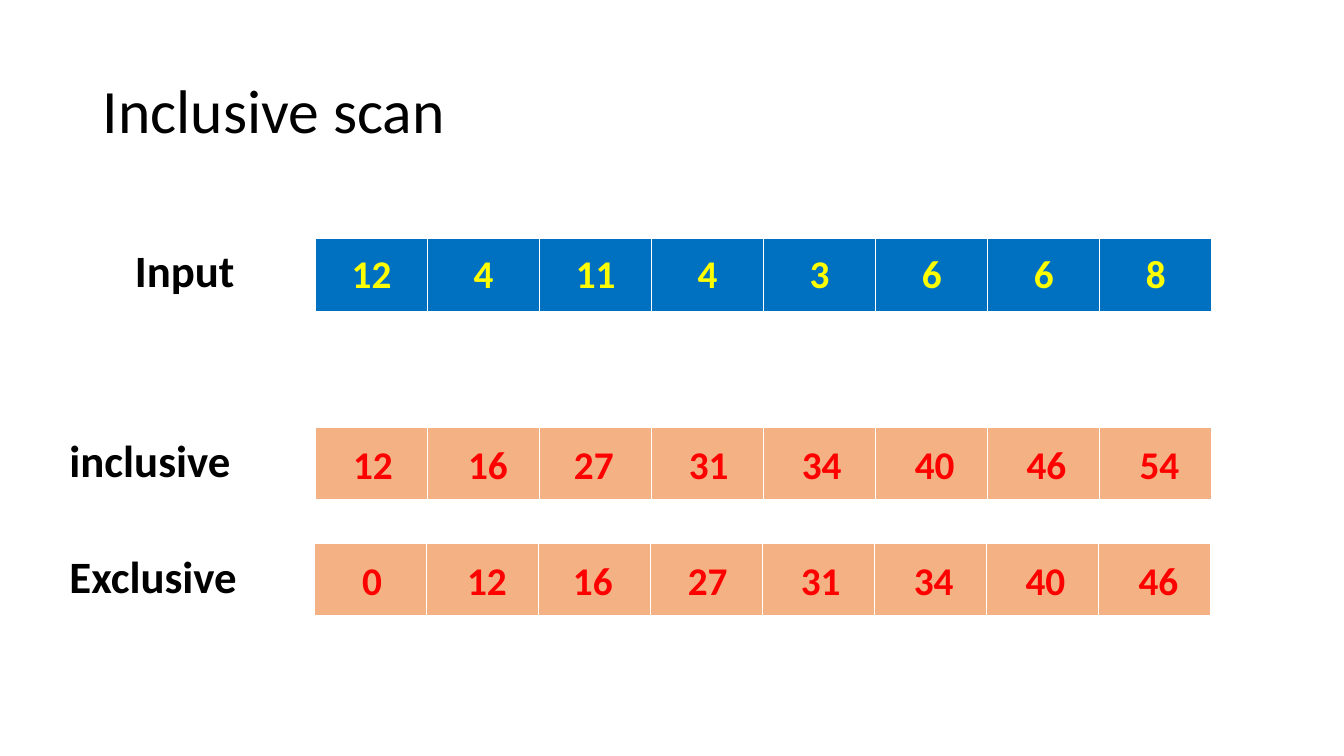
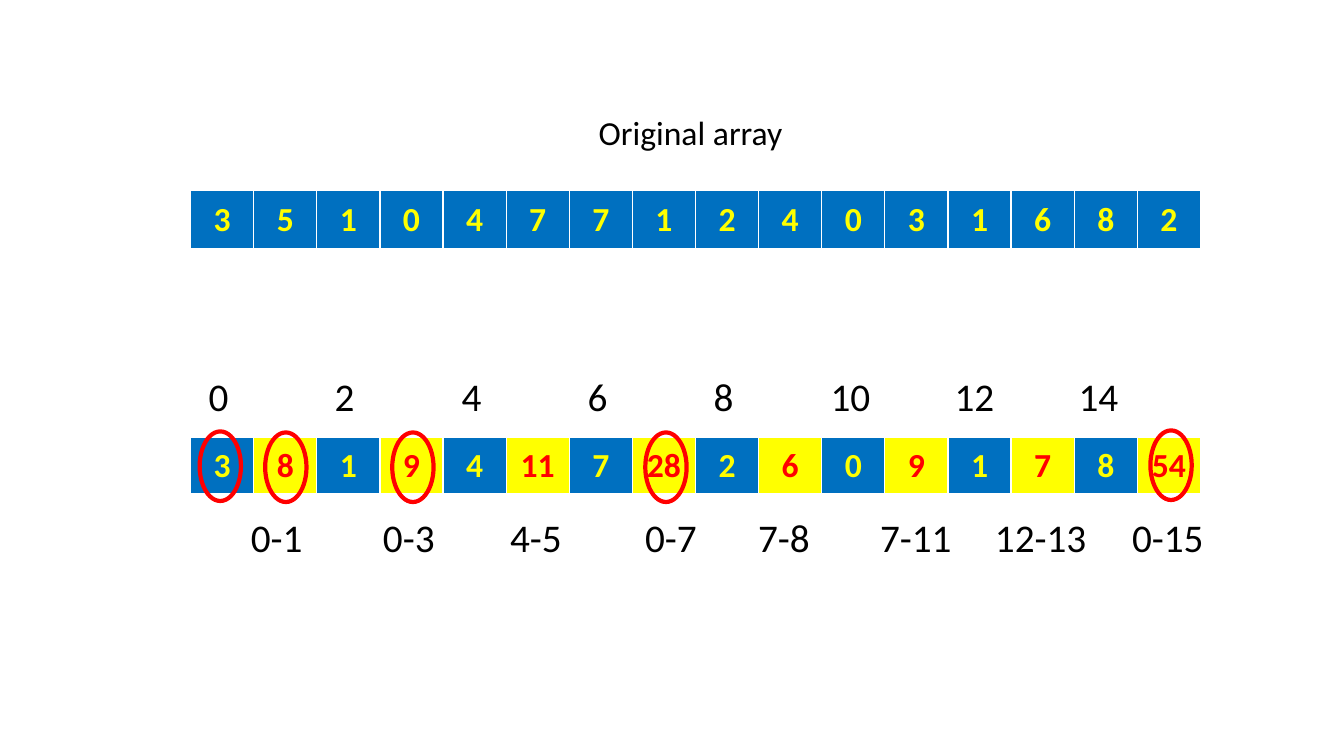
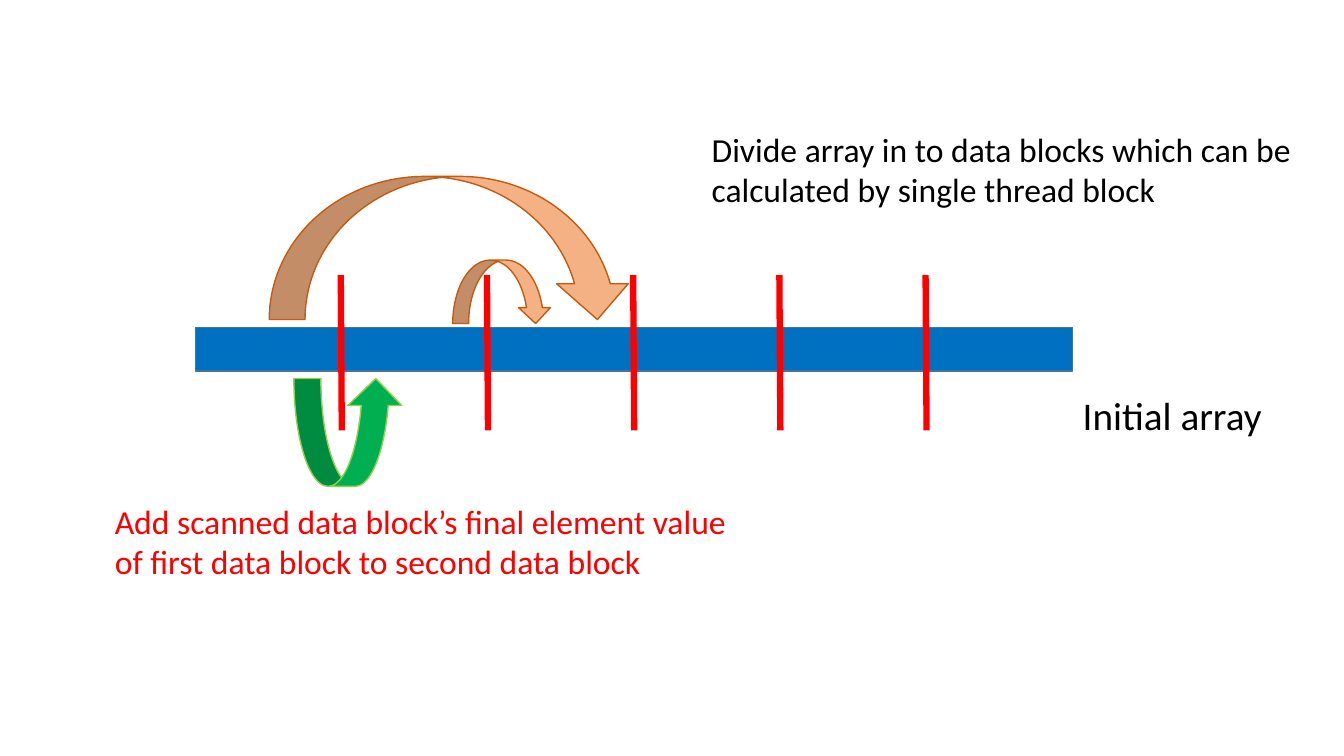
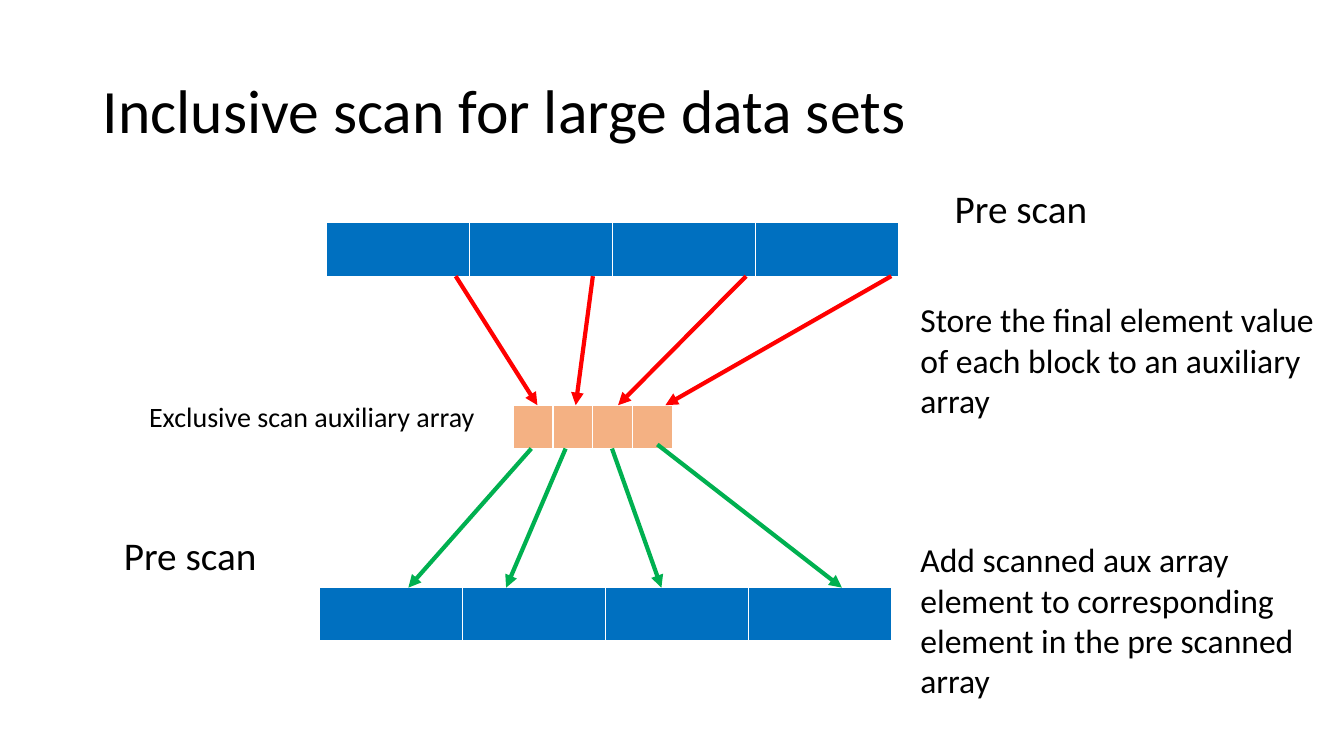
from dataclasses import dataclass

from pptx import Presentation
from pptx.dml.color import RGBColor
from pptx.enum.shapes import MSO_CONNECTOR, MSO_SHAPE
from pptx.enum.text import MSO_ANCHOR, MSO_AUTO_SIZE, PP_ALIGN
from pptx.oxml.ns import qn
from pptx.shapes.autoshape import Shape
from pptx.slide import Slide
from pptx.text.text import TextFrame
from pptx.util import Inches, Pt
from lxml import etree

LEFT, CENTER = PP_ALIGN.LEFT, PP_ALIGN.CENTER
MIDDLE = MSO_ANCHOR.MIDDLE
FIT_SHAPE, NO_FIT = MSO_AUTO_SIZE.SHAPE_TO_FIT_TEXT, MSO_AUTO_SIZE.NONE
STRAIGHT = MSO_CONNECTOR.STRAIGHT
RECTANGLE, OVAL = MSO_SHAPE.RECTANGLE, MSO_SHAPE.OVAL
DOWN_ARC, RIGHT_ARC = MSO_SHAPE.CURVED_DOWN_ARROW, MSO_SHAPE.CURVED_RIGHT_ARROW
TITLE_ONLY, BLANK = 5, 6


@dataclass(frozen=True)
class Theme:
    font: str = "Calibri"
    black: str = "000000"
    red: str = "FF0000"
    yellow: str = "FFFF00"
    blue: str = "0070C0"
    blue_edge: str = "43739E"
    peach: str = "F4B183"
    peach_edge: str = "C55A11"
    green: str = "00B050"
    green_edge: str = "92D050"
    title: int = 44
    heading: int = 32
    large: int = 28
    body: int = 24
    small: int = 20


THEME = Theme()


@dataclass(frozen=True)
class TextStyle:
    size: int
    color: str = THEME.black
    bold: bool = False


LARGE, BODY, SMALL = TextStyle(THEME.large), TextStyle(THEME.body), TextStyle(THEME.small)
ROW_LABEL = TextStyle(THEME.heading, bold=True)
SCAN_VALUE = TextStyle(THEME.large, THEME.red, True)


@dataclass(frozen=True)
class Box:
    left: float
    top: float
    width: float
    height: float

    def lengths(self) -> tuple:
        return tuple(Inches(value) for value in (self.left, self.top, self.width, self.height))


@dataclass(frozen=True)
class Label:
    text: str
    box: Box
    style: TextStyle


@dataclass(frozen=True)
class Cell:
    fill: str
    text: str = ""
    style: TextStyle = BODY


@dataclass(frozen=True)
class Line:
    start: tuple[float, float]
    end: tuple[float, float]
    color: str
    width: float
    arrow: bool = False


@dataclass(frozen=True)
class Figure:
    kind: MSO_SHAPE
    box: Box
    fill: str = ""
    edge: str = ""
    edge_width: float = 1
    rotation: float = 0


# Drawing functions
def write_text(frame: TextFrame, text: str, style: TextStyle, align: PP_ALIGN = LEFT) -> None:
    paragraph = frame.paragraphs[0]
    paragraph.alignment = align
    run = paragraph.add_run()
    run.text = text
    run.font.name = THEME.font
    run.font.size = Pt(style.size)
    run.font.bold = style.bold
    run.font.color.rgb = RGBColor.from_string(style.color)


def add_slide(presentation: Presentation, title: str = "") -> Slide:
    slide = presentation.slides.add_slide(presentation.slide_layouts[TITLE_ONLY if title else BLANK])
    if title:
        shape = slide.shapes.title
        shape.left, shape.top, shape.width, shape.height = Box(0.92, 0.4, 11.5, 1.45).lengths()
        frame = shape.text_frame
        frame.vertical_anchor = MIDDLE
        frame.auto_size = NO_FIT
        write_text(frame, title, TextStyle(THEME.title))
        frame.paragraphs[0].line_spacing = 0.9
    return slide


def add_label(slide: Slide, label: Label) -> None:
    frame = slide.shapes.add_textbox(*label.box.lengths()).text_frame
    frame.word_wrap = True
    frame.auto_size = FIT_SHAPE
    write_text(frame, label.text, label.style)


def add_array(slide: Slide, box: Box, cells: list[Cell]) -> None:
    table = slide.shapes.add_table(1, len(cells), *box.lengths()).table
    table.horz_banding = False
    for index, content in enumerate(cells):
        table.columns[index].width = Inches(box.width / len(cells))
        cell = table.cell(0, index)
        cell.vertical_anchor = MIDDLE
        cell.fill.solid()
        cell.fill.fore_color.rgb = RGBColor.from_string(content.fill)
        if content.text:
            write_text(cell.text_frame, content.text, content.style, CENTER)


def add_figure(slide: Slide, figure: Figure) -> Shape:
    shape = slide.shapes.add_shape(figure.kind, *figure.box.lengths())
    shape.shadow.inherit = False
    shape.rotation = figure.rotation
    if figure.fill:
        shape.fill.solid()
        shape.fill.fore_color.rgb = RGBColor.from_string(figure.fill)
    else:
        shape.fill.background()
    if figure.edge:
        shape.line.color.rgb = RGBColor.from_string(figure.edge)
        shape.line.width = Pt(figure.edge_width)
    else:
        shape.line.fill.background()
    return shape


def add_line(slide: Slide, line: Line) -> None:
    points = [Inches(value) for value in (*line.start, *line.end)]
    connector = slide.shapes.add_connector(STRAIGHT, *points)
    connector.line.color.rgb = RGBColor.from_string(line.color)
    connector.line.width = Pt(line.width)
    properties = connector._element.spPr
    if line.arrow:
        etree.SubElement(properties.find(qn("a:ln")), qn("a:tailEnd"), type="triangle")
    etree.SubElement(properties, qn("a:effectLst"))


# Slide 1: input with its inclusive and exclusive scans
def build_scan_kinds(presentation: Presentation) -> None:
    slide = add_slide(presentation, "Inclusive scan")
    input_style = TextStyle(THEME.large, THEME.yellow, True)
    add_array(slide, Box(3.13, 2.37, 8.89, 0.72),
              [Cell(THEME.blue, value, input_style) for value in "12 4 11 4 3 6 6 8".split()])
    add_label(slide, Label("Input", Box(1.24, 2.36, 1.2, 0.64), ROW_LABEL))

    value_offsets = (0.1, 1.24, 2.29, 3.43, 4.55, 5.67, 6.78, 7.9)
    scans = (
        ("inclusive", 3.13, 4.24, "12 16 27 31 34 40 46 54"),
        ("Exclusive", 3.12, 5.39, "0 12 16 27 31 34 40 46"),
    )
    for name, left, top, values in scans:
        add_array(slide, Box(left, top, 8.89, 0.72), [Cell(THEME.peach)] * len(value_offsets))
        add_label(slide, Label(name, Box(0.59, top, 2.15, 0.64), ROW_LABEL))
        for offset, value in zip(value_offsets, values.split()):
            box = Box(left + offset, top + 0.04, 0.94, 0.64)
            frame = add_figure(slide, Figure(RECTANGLE, box, THEME.peach)).text_frame
            frame.vertical_anchor = MIDDLE
            write_text(frame, value, SCAN_VALUE, CENTER)


# Slide 2: partial sums after the reduction
def build_partial_sums(presentation: Presentation) -> None:
    slide = add_slide(presentation)
    kept = TextStyle(THEME.body, THEME.yellow, True)
    summed = TextStyle(THEME.body, THEME.red, True)
    add_label(slide, Label("Original array", Box(5.84, 1.06, 2.26, 0.5), BODY))
    add_array(slide, Box(1.89, 1.89, 10.02, 0.58),
              [Cell(THEME.blue, value, kept) for value in "3510477124031682"])
    sums = "3 8 1 9 4 11 7 28 2 6 0 9 1 7 8 54".split()
    add_array(slide, Box(1.89, 4.34, 10.02, 0.56),
              [Cell(THEME.yellow, value, summed) if index % 2 else Cell(THEME.blue, value, kept)
               for index, value in enumerate(sums)])

    index_lefts = (1.97, 3.22, 4.48, 5.73, 6.98, 8.14, 9.37, 10.6)
    for position, left in enumerate(index_lefts):
        add_label(slide, Label(str(2 * position), Box(left, 3.64, 0.67, 0.57), LARGE))
    ranges = (
        ("0-1", 2.39, 0.91), ("0-3", 3.7, 1.01), ("4-5", 4.96, 0.75), ("0-7", 6.3, 0.84),
        ("7-8", 7.42, 0.84), ("7-11", 8.63, 1.03), ("12-13", 9.77, 1.14), ("0-15", 11.13, 1),
    )
    for text, left, width in ranges:
        add_label(slide, Label(text, Box(left, 5.04, width, 0.57), LARGE))
    for left, top in ((1.98, 4.28), (2.63, 4.29), (3.89, 4.29), (6.4, 4.29), (11.41, 4.27)):
        add_figure(slide, Figure(OVAL, Box(left, top, 0.41, 0.69), edge=THEME.red, edge_width=3))


# Slide 3: an array divided into data blocks
def build_data_blocks(presentation: Presentation) -> None:
    slide = add_slide(presentation)
    add_figure(slide, Figure(RECTANGLE, Box(1.94, 3.25, 8.7, 0.43), THEME.blue, THEME.blue_edge))
    for divider in range(5):
        left = 3.38 + 1.45 * divider
        add_line(slide, Line((left, 2.73), (left + 0.01, 4.27), THEME.red, 4.5))
    arrows = (
        Figure(RIGHT_ARC, Box(2.92, 3.75, 1.07, 1.08), THEME.green, THEME.green_edge, rotation=270),
        Figure(DOWN_ARC, Box(2.67, 1.75, 3.61, 1.42), THEME.peach, THEME.peach_edge),
        Figure(DOWN_ARC, Box(4.49, 2.58, 0.98, 0.63), THEME.peach, THEME.peach_edge),
    )
    for arrow in arrows:
        add_figure(slide, arrow)
    labels = (
        Label("Initial array", Box(10.64, 3.83, 2.05, 0.57), LARGE),
        Label("Divide array in to data blocks which can be calculated by single thread block",
              Box(6.96, 1.23, 6.17, 0.91), BODY),
        Label("Add scanned data block’s final element value of first data block to second data block",
              Box(1.04, 4.92, 6.41, 0.91), TextStyle(THEME.body, THEME.red)),
    )
    for label in labels:
        add_label(slide, label)


# Slide 4: block totals pass through an auxiliary array
def build_large_scan(presentation: Presentation) -> None:
    slide = add_slide(presentation, "Inclusive scan for large data sets")
    arrays = (
        (Box(3.24, 2.21, 5.67, 0.53), THEME.blue),
        (Box(5.09, 4.02, 1.58, 0.43), THEME.peach),
        (Box(3.17, 5.83, 5.67, 0.53), THEME.blue),
    )
    for box, fill in arrays:
        add_array(slide, box, [Cell(fill)] * 4)
    for start, end in ((4.52, 5.33), (5.88, 5.71), (7.4, 6.13), (8.84, 6.6)):
        add_line(slide, Line((start, 2.74), (end, 4.02), THEME.red, 3, True))
    for start, top, end in ((5.27, 4.45, 4.05), (5.61, 4.45, 5.02), (6.07, 4.45, 6.56), (6.52, 4.41, 8.35)):
        add_line(slide, Line((start, top), (end, 5.83), THEME.green, 3, True))
    labels = (
        Label("Store the final element value of each block to an auxiliary array",
              Box(9.03, 2.92, 4.21, 1.31), BODY),
        Label("Exclusive scan auxiliary array", Box(1.38, 3.91, 4.21, 0.44), SMALL),
        Label("Add scanned aux array element to corresponding element in the pre scanned array",
              Box(9.03, 5.3, 4.21, 1.72), BODY),
        Label("Pre scan", Box(9.37, 1.78, 1.61, 0.57), LARGE),
        Label("Pre scan", Box(1.13, 5.22, 1.61, 0.57), LARGE),
    )
    for label in labels:
        add_label(slide, label)


def main() -> None:
    presentation = Presentation()
    presentation.slide_width, presentation.slide_height = Inches(13.33), Inches(7.5)
    for build in (build_scan_kinds, build_partial_sums, build_data_blocks, build_large_scan):
        build(presentation)
    presentation.save("out.pptx")


main()
